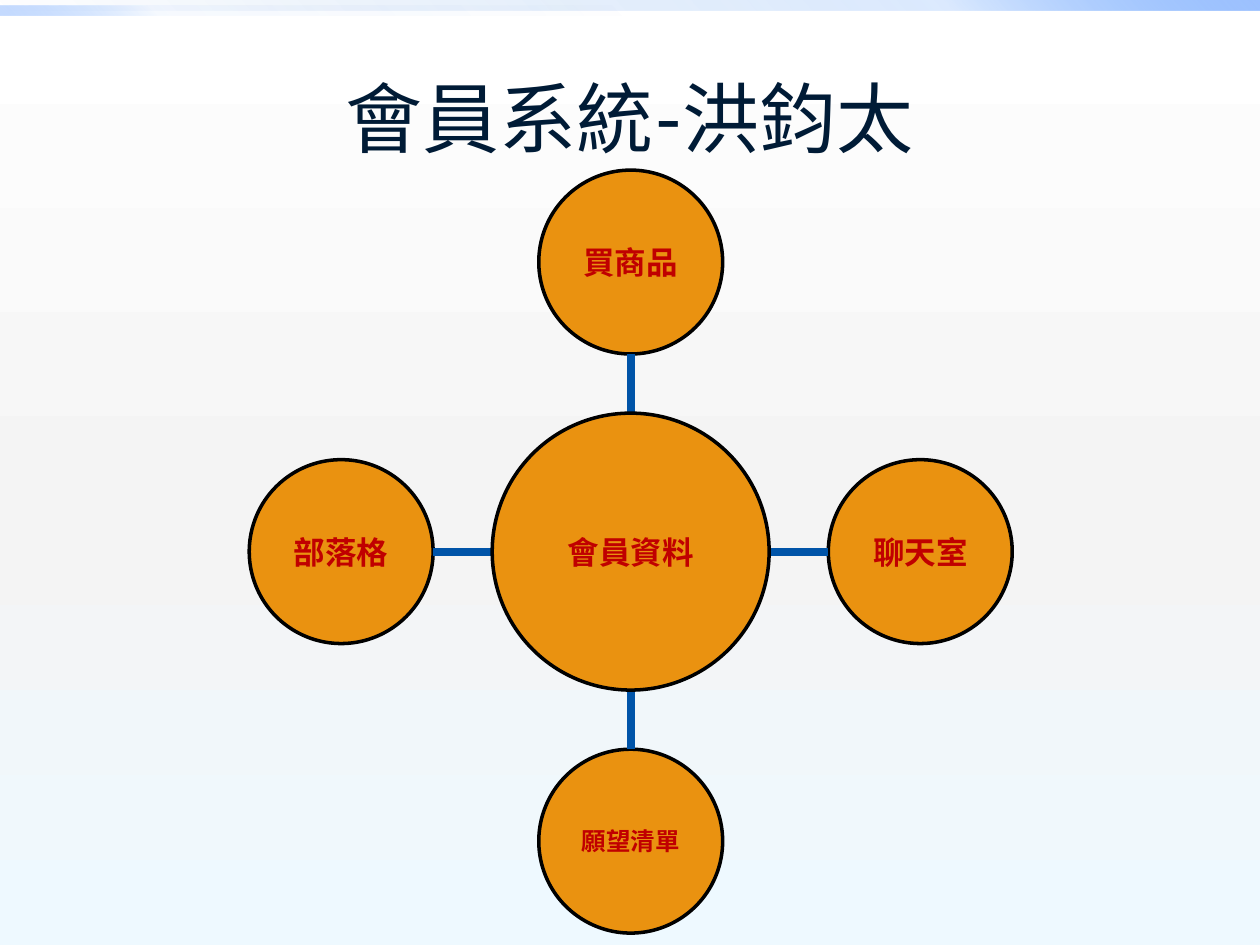
import pptx
import pptx.dml.color
import pptx.enum.shapes
import pptx.enum.text
import pptx.oxml.ns
import pptx.util
from lxml import etree

Pt = pptx.util.Pt
SHAPES = pptx.enum.shapes.MSO_SHAPE
qn = pptx.oxml.ns.qn

BLUES = ("0058B7", "4F95FF", "9EC2FF")
SPOKES = [
    ("部落格", -1, 0, 18),
    ("買商品", 0, -1, 18),
    ("聊天室", 1, 0, 18),
    ("願望清單", 0, 1, 14),
]


def color(code):
    return pptx.dml.color.RGBColor.from_string(code)


def set_gradient(fill, element, stops, angle):
    fill.gradient()
    fill.gradient_angle = 360 - angle
    stop_list = next(element.iter(qn("a:gsLst")))
    for old_stop in list(stop_list):
        stop_list.remove(old_stop)
    for position, code, opacity in stops:
        stop = etree.SubElement(stop_list, qn("a:gs"), pos=str(position * 1000))
        tone = etree.SubElement(stop, qn("a:srgbClr"), val=code)
        if opacity < 100:
            etree.SubElement(tone, qn("a:alpha"), val=str(opacity * 1000))


def write_text(shape, text, size, font, code, bold=False):
    frame = shape.text_frame
    frame.word_wrap = True
    frame.vertical_anchor = pptx.enum.text.MSO_ANCHOR.MIDDLE
    para = frame.paragraphs[0]
    para.alignment = pptx.enum.text.PP_ALIGN.CENTER
    span = para.add_run()
    span.text = text
    span.font.size = Pt(size)
    span.font.name = font
    span.font.bold = bold
    span.font.color.rgb = color(code)


def add_bar(page, left, top, width, height, opacities, angle):
    bar = page.shapes.add_shape(SHAPES.RECTANGLE, Pt(left), Pt(top), Pt(width), Pt(height))
    bar.shadow.inherit = False
    bar.line.fill.background()
    set_gradient(bar.fill, bar._element, zip((0, 75, 100), BLUES, opacities), angle)


def add_backdrop(page, width):
    stops = [(0, "FFFFFF", 100), (55, "F4F4F4", 100), (100, "EEF9FF", 100)]
    set_gradient(page.background.fill, page._element, stops, 90)
    add_bar(page, 0, 0, width, 6, (0, 20, 100), 315)
    add_bar(page, 0, 3, width / 2, 6, (0, 5, 60), 135)


def add_title(page, left, top, width, height):
    title = page.shapes.title
    title.left, title.top = Pt(left), Pt(top)
    title.width, title.height = Pt(width), Pt(height)
    write_text(title, "會員系統-洪鈞太", size=44, font="Lato", code="001B36")


def add_circle(shapes, x, y, radius, text, size):
    circle = shapes.add_shape(
        SHAPES.OVAL, Pt(x - radius), Pt(y - radius), Pt(2 * radius), Pt(2 * radius)
    )
    circle.shadow.inherit = False
    circle.fill.solid()
    circle.fill.fore_color.rgb = color("EA9210")
    circle.line.color.rgb = color("000000")
    circle.line.width = Pt(2)
    write_text(circle, text, size=size, font="Arial", code="C00000", bold=True)


def add_link(shapes, start_x, start_y, end_x, end_y):
    link = shapes.add_connector(
        pptx.enum.shapes.MSO_CONNECTOR.STRAIGHT,
        Pt(start_x), Pt(start_y), Pt(end_x), Pt(end_y),
    )
    link.line.color.rgb = color("0054A8")
    link.line.width = Pt(4.5)
    etree.SubElement(link._element.spPr, qn("a:effectLst"))


def add_hub_diagram(page, left, top, side):
    middle_x, middle_y = left + side / 2, top + side / 2
    hub_radius = 0.1815 * side
    spoke_radius = 0.1205 * side
    reach = side / 2 - spoke_radius
    spokes = page.shapes.add_group_shape().shapes
    for text, across, down, size in SPOKES:
        add_circle(
            spokes, middle_x + across * reach, middle_y + down * reach, spoke_radius, text, size
        )
    for text, across, down, size in SPOKES:
        add_link(
            spokes,
            middle_x + across * hub_radius,
            middle_y + down * hub_radius,
            middle_x + across * (reach - spoke_radius),
            middle_y + down * (reach - spoke_radius),
        )
    add_circle(page.shapes, middle_x, middle_y, hub_radius, "會員資料", 18)


def main():
    deck = pptx.Presentation()
    deck.slide_width, deck.slide_height = Pt(720), Pt(540)
    page = deck.slides.add_slide(deck.slide_layouts[5])
    add_backdrop(page, 720)
    add_title(page, 36, 21.6, 648, 90)
    add_hub_diagram(page, 142.4, 97.2, 436)
    deck.save("out.pptx")


if __name__ == "__main__":
    main()
